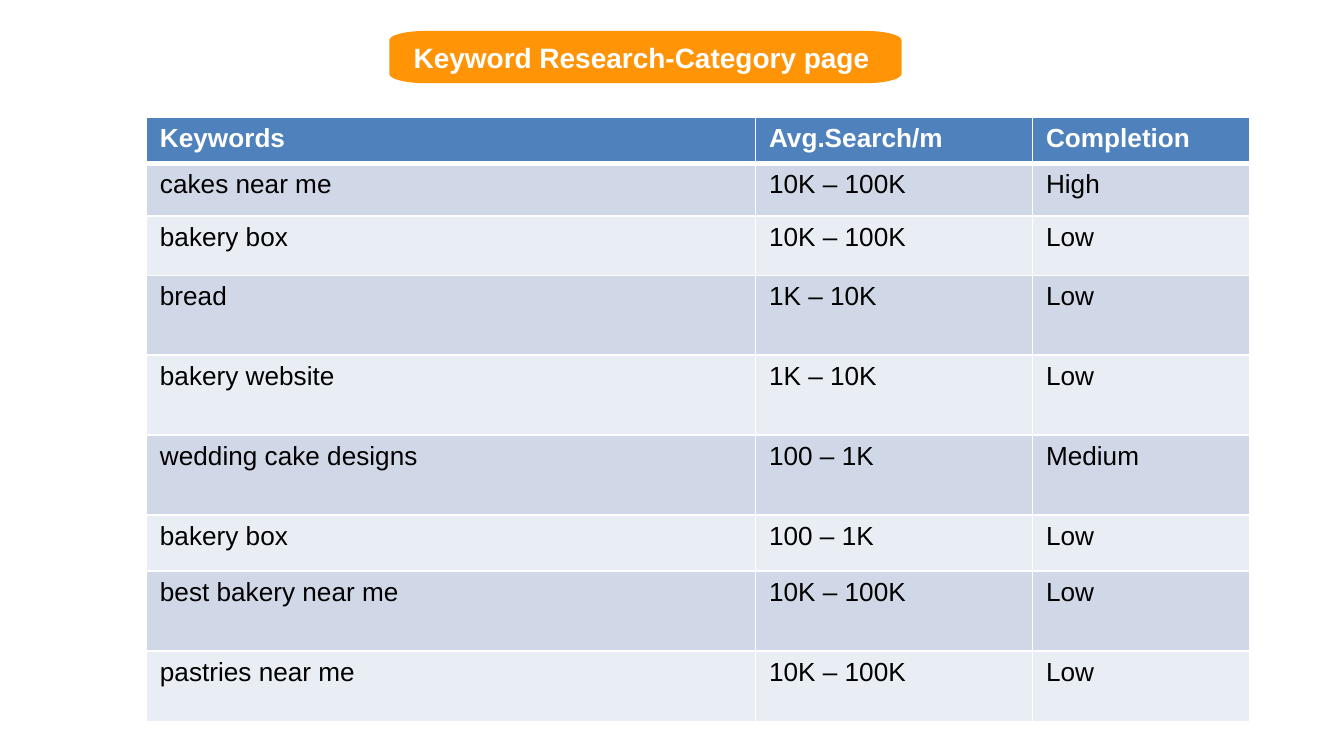
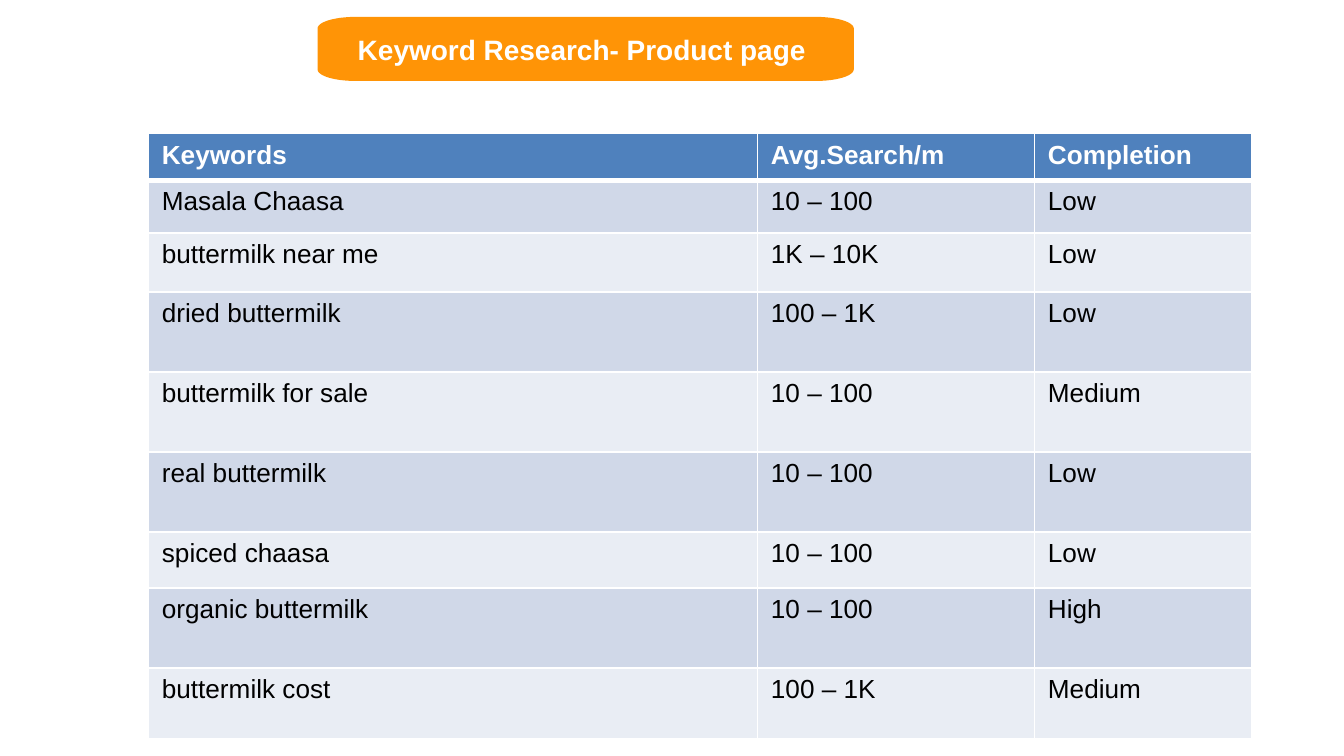
"""Build two keyword research slides, each with a title badge and a table."""
import math
from dataclasses import dataclass

import lxml.etree
import pptx
import pptx.dml.color
import pptx.enum.text
import pptx.oxml.ns
import pptx.presentation
import pptx.shapes.autoshape
import pptx.slide
import pptx.table
import pptx.util

Pt = pptx.util.Pt

FONT = "Arial"
WHITE = "FFFFFF"
BLACK = "000000"
BADGE_ORANGE = "FF9406"
HEADER_BLUE = "4F81BD"
BAND_FILLS = ("D0D8E8", "E9EDF4")

TITLE_SIZE = 15
CELL_SIZE = 14
BADGE_INSET = 3.6
CORNER_WIDTH_SHARE = 0.07
CORNER_HEIGHT_SHARE = 0.18
CORNER_STEPS = 12

HEADINGS = ("Keywords", "Avg.Search/m", "Completion")
COLUMN_WIDTHS = (326.3, 148.4, 116.6)
ROW_HEIGHTS = (25, 28.3, 31.7, 42.8, 42.8, 42.8, 30.2, 42.8, 38)
GRID_WIDTH = 1
HEADER_RULE_WIDTH = 3


@dataclass(frozen=True)
class Box:
    """A rectangle in points."""
    left: float
    top: float
    width: float
    height: float


@dataclass(frozen=True)
class Keyword:
    """A search phrase with its monthly volume and competition."""
    phrase: str
    searches: str
    completion: str


@dataclass(frozen=True)
class KeywordPage:
    """The content and placement of one slide."""
    title: str
    badge: Box
    table_left: float
    table_top: float
    keywords: tuple[Keyword, ...]


PAGES = (
    KeywordPage("Keyword Research-Category page ", Box(208.6, 16.6, 274.4, 28), 78.5, 62.6, (
        Keyword("cakes near me", "10K – 100K", "High"),
        Keyword("bakery box", "10K – 100K", "Low"),
        Keyword("bread", "1K – 10K", "Low"),
        Keyword("bakery website", "1K – 10K", "Low"),
        Keyword("wedding cake designs", "100 – 1K", "Medium"),
        Keyword("bakery box", "100 – 1K", "Low"),
        Keyword("best bakery near me", "10K – 100K", "Low"),
        Keyword("pastries near me", "10K – 100K", "Low"),
    )),
    KeywordPage("Keyword Research- Product page ", Box(170.1, 9.1, 287.3, 34.3), 79.5, 71.6, (
        Keyword("Masala Chaasa", "10 – 100", "Low"),
        Keyword("buttermilk near me", "1K – 10K", "Low"),
        Keyword("dried buttermilk", "100 – 1K", "Low"),
        Keyword("buttermilk for sale", "10 – 100", "Medium"),
        Keyword("real buttermilk", "10 – 100", "Low"),
        Keyword("spiced chaasa", "10 – 100", "Low"),
        Keyword("organic buttermilk", "10 – 100", "High"),
        Keyword("buttermilk cost", "100 – 1K", "Medium"),
    )),
)


def color(value: str) -> pptx.dml.color.RGBColor:
    """Turn a hex string into a colour."""
    return pptx.dml.color.RGBColor.from_string(value)


def style_text(frame, size: float, ink: str, bold: bool) -> None:
    """Format every run of a text frame."""
    for paragraph in frame.paragraphs:
        for run in paragraph.runs:
            run.font.name = FONT
            run.font.size = Pt(size)
            run.font.bold = bold
            run.font.color.rgb = color(ink)


def badge_outline(box: Box) -> list[tuple[int, int]]:
    """Trace a rectangle with elliptical corners, clockwise from the left."""
    radius_x = box.width * CORNER_WIDTH_SHARE
    radius_y = box.height * CORNER_HEIGHT_SHARE
    near_x, far_x = box.left + radius_x, box.left + box.width - radius_x
    near_y, far_y = box.top + radius_y, box.top + box.height - radius_y
    centers = ((near_x, near_y), (far_x, near_y), (far_x, far_y), (near_x, far_y))
    points = []
    for quarter, (center_x, center_y) in enumerate(centers):
        for step in range(CORNER_STEPS + 1):
            angle = math.pi + (quarter + step / CORNER_STEPS) * math.pi / 2
            points.append((Pt(center_x + radius_x * math.cos(angle)),
                           Pt(center_y + radius_y * math.sin(angle))))
    return points


def add_badge(slide: pptx.slide.Slide, title: str, box: Box) -> None:
    """Draw the orange title badge."""
    start, *rest = badge_outline(box)
    builder = slide.shapes.build_freeform(*start)
    builder.add_line_segments(rest, close=True)
    badge = builder.convert_to_shape()
    badge.shadow.inherit = False
    badge.fill.solid()
    badge.fill.fore_color.rgb = color(BADGE_ORANGE)
    badge.line.fill.background()
    frame = badge.text_frame
    frame.word_wrap = True
    frame.vertical_anchor = pptx.enum.text.MSO_ANCHOR.MIDDLE
    frame.margin_left = frame.margin_right = Pt(BADGE_INSET)
    frame.margin_top = frame.margin_bottom = Pt(BADGE_INSET)
    frame.text = title
    frame.paragraphs[0].alignment = pptx.enum.text.PP_ALIGN.CENTER
    style_text(frame, TITLE_SIZE, WHITE, True)


def add_borders(cell, row: int) -> None:
    """Give a cell white borders, heavier between header and body."""
    qn = pptx.oxml.ns.qn
    properties = cell._tc.get_or_add_tcPr()
    widths = {"lnL": GRID_WIDTH, "lnR": GRID_WIDTH,
              "lnT": HEADER_RULE_WIDTH if row == 1 else GRID_WIDTH,
              "lnB": HEADER_RULE_WIDTH if row == 0 else GRID_WIDTH}
    for side, width in widths.items():
        line = lxml.etree.SubElement(properties, qn(f"a:{side}"), w=str(Pt(width)))
        fill = lxml.etree.SubElement(line, qn("a:solidFill"))
        lxml.etree.SubElement(fill, qn("a:srgbClr"), val=WHITE)


def fill_cell(cell, text: str, row: int) -> None:
    """Write and style one table cell."""
    is_header = row == 0
    add_borders(cell, row)
    cell.fill.solid()
    cell.fill.fore_color.rgb = color(HEADER_BLUE if is_header else BAND_FILLS[(row - 1) % 2])
    cell.text_frame.text = text
    style_text(cell.text_frame, CELL_SIZE, WHITE if is_header else BLACK, is_header)


def add_keyword_table(slide: pptx.slide.Slide, page: KeywordPage) -> None:
    """Draw the keyword table of a page."""
    lines = [HEADINGS] + [(k.phrase, k.searches, k.completion) for k in page.keywords]
    table = slide.shapes.add_table(
        len(lines), len(HEADINGS), Pt(page.table_left), Pt(page.table_top),
        Pt(sum(COLUMN_WIDTHS)), Pt(sum(ROW_HEIGHTS))).table
    table.horz_banding = False
    for column, width in zip(table.columns, COLUMN_WIDTHS):
        column.width = Pt(width)
    for row, (texts, height) in enumerate(zip(lines, ROW_HEIGHTS)):
        table.rows[row].height = Pt(height)
        for column, text in enumerate(texts):
            fill_cell(table.cell(row, column), text, row)


def main() -> None:
    """Build and save the presentation."""
    deck = pptx.Presentation()
    deck.slide_width, deck.slide_height = Pt(720), Pt(405)
    for page in PAGES:
        slide = deck.slides.add_slide(deck.slide_layouts[6])
        add_badge(slide, page.title, page.badge)
        add_keyword_table(slide, page)
    deck.save("out.pptx")


if __name__ == "__main__":
    main()
